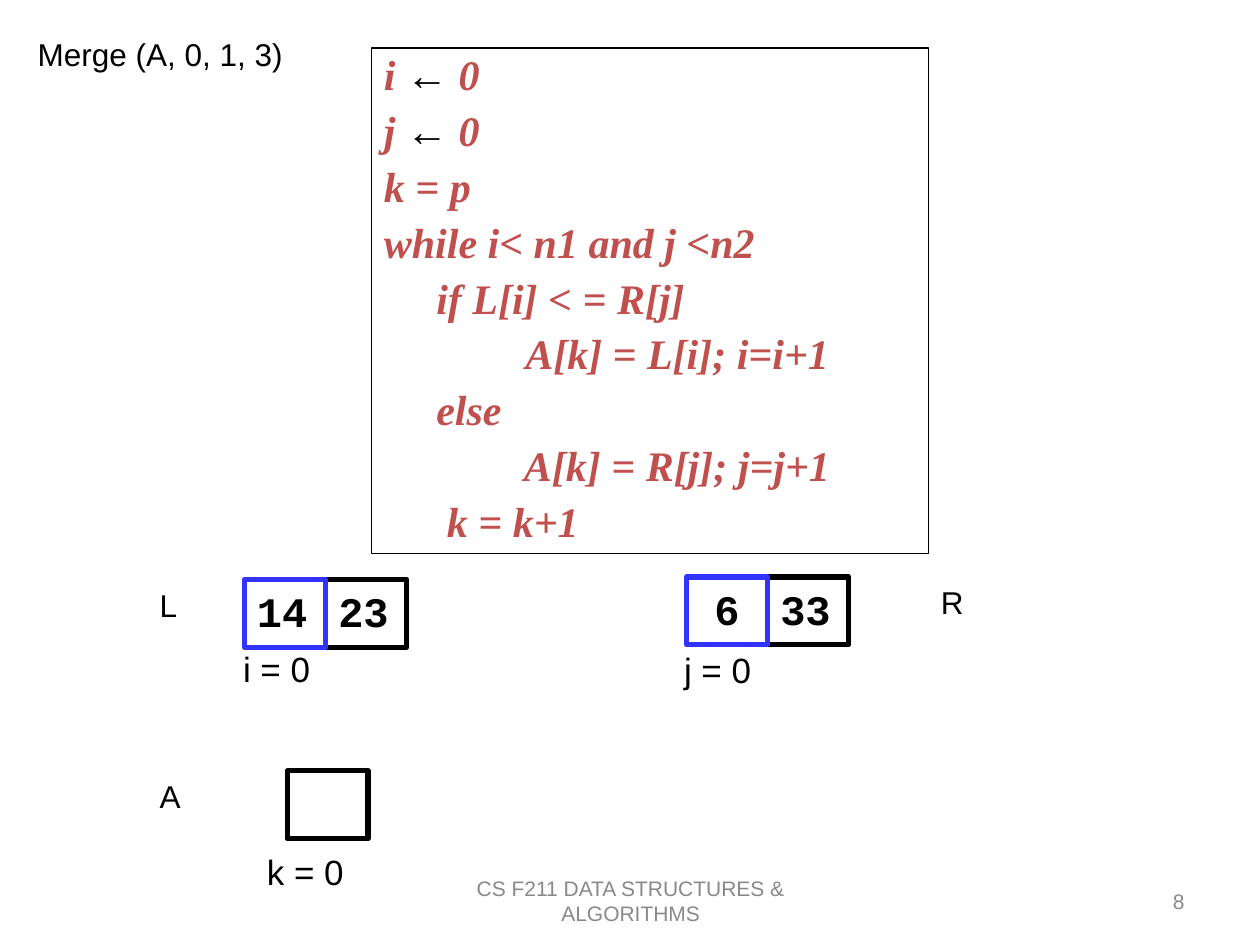
from dataclasses import dataclass

from lxml import etree
from pptx import Presentation
from pptx.dml.color import RGBColor
from pptx.enum.shapes import MSO_SHAPE
from pptx.enum.text import MSO_ANCHOR, MSO_AUTO_SIZE, PP_ALIGN
from pptx.oxml.ns import qn
from pptx.util import Cm, Pt

RECT = MSO_SHAPE.RECTANGLE
TOP, MIDDLE = MSO_ANCHOR.TOP, MSO_ANCHOR.MIDDLE
LEFT, CENTER, RIGHT = PP_ALIGN.LEFT, PP_ALIGN.CENTER, PP_ALIGN.RIGHT
GROW = MSO_AUTO_SIZE.SHAPE_TO_FIT_TEXT
ARROW = "←"


@dataclass(frozen=True)
class Theme:
    black: str = "000000"
    blue: str = "3333FF"
    red: str = "C0504D"
    gray: str = "898989"
    sans: str = "Arial"
    serif: str = "Times New Roman"
    mono: str = "Courier New"
    small: int = 12
    label: int = 18
    index: int = 20
    code: int = 24
    thin: float = 0.75
    thick: float = 3


class Board:
    cell_w, cell_h, step = 1.63, 1.37, 1.64

    def __init__(self, slide, theme):
        self.slide = slide
        self.theme = theme

    def style(self, font, face, size, color, strong=False, slant=False):
        font.name = face
        font.size = Pt(size)
        font.color.rgb = RGBColor.from_string(color)
        font.bold = strong
        font.italic = slant

    def frame(self, x, y, w, h, color, weight):
        """Unfilled rectangle with a plain outline."""
        box = self.slide.shapes.add_shape(RECT, Cm(x), Cm(y), Cm(w), Cm(h))
        box.shadow.inherit = False
        box.fill.background()
        box.line.color.rgb = RGBColor.from_string(color)
        box.line.width = Pt(weight)
        box.text_frame.vertical_anchor = TOP
        return box

    def cell(self, x, y, text, color, align=LEFT):
        box = self.frame(x, y, self.cell_w, self.cell_h, color, self.theme.thick)
        body = box.text_frame
        body.word_wrap = False
        body.text = text
        para = body.paragraphs[0]
        para.alignment = align
        for run in para.runs:
            self.style(run.font, self.theme.mono, self.theme.code,
                       self.theme.black, strong=True)

    def pair(self, x, y, first, second, align=LEFT):
        """Two-cell array whose current first cell lies on top."""
        self.cell(x + self.step, y, second, self.theme.black)
        self.cell(x, y, first, self.theme.blue, align)

    def label(self, x, y, w, h, text, size):
        body = self.text(x, y, w, h, text, size, self.theme.black, LEFT)
        body.auto_size = GROW

    def footer(self, x, w, text, align):
        body = self.text(x, 17.65, w, 1.02, text, self.theme.small,
                         self.theme.gray, align)
        body.vertical_anchor = MIDDLE

    def text(self, x, y, w, h, text, size, color, align):
        box = self.slide.shapes.add_textbox(Cm(x), Cm(y), Cm(w), Cm(h))
        body = box.text_frame
        body.word_wrap = True
        body.text = text
        para = body.paragraphs[0]
        para.alignment = align
        self.style(para.runs[0].font, self.theme.sans, size, color)
        return body

    def tabs(self, para, gap, count):
        stops = etree.SubElement(para._p.get_or_add_pPr(), qn("a:tabLst"))
        for n in range(count):
            etree.SubElement(stops, qn("a:tab"), pos=str(Cm(gap * n)), algn="l")

    def code(self, x, y, w, h, lines):
        theme = self.theme
        body = self.frame(x, y, w, h, theme.black, theme.thin).text_frame
        body.word_wrap = True
        for n, line in enumerate(lines):
            para = body.add_paragraph() if n else body.paragraphs[0]
            self.tabs(para, 0.95, 8)
            para.alignment = LEFT
            para.line_spacing = 0.9
            para.space_before = Pt(6 if n else 0)
            for part in filter(None, line.partition(ARROW)):
                run = para.add_run()
                run.text = part
                if part == ARROW:
                    self.style(run.font, theme.sans, theme.code, theme.black)
                else:
                    self.style(run.font, theme.serif, theme.code, theme.red,
                               strong=True, slant=True)


CODE = [
    "i ← 0",
    "j ← 0",
    "k = p",
    "while i< n1 and j <n2",
    "     if L[i] < = R[j]",
    "\t\t\tA[k] = L[i]; i=i+1",
    "     else",
    "\t         A[k] = R[j]; j=j+1",
    "      k = k+1",
]


def main():
    deck = Presentation()
    deck.slide_width, deck.slide_height = Cm(25.4), Cm(19.05)
    theme = Theme()
    board = Board(deck.slides.add_slide(deck.slide_layouts[6]), theme)

    # Call and merge loop
    board.label(0.51, 0.58, 6.07, 1.02, "Merge (A, 0, 1, 3)", theme.label)
    board.code(7.49, 0.97, 11.23, 10.19, CODE)

    # Arrays: L and R halves, empty target A
    board.pair(4.93, 11.68, "14", "23")
    board.pair(13.84, 11.63, "6", "33", CENTER)
    board.frame(5.79, 15.54, board.cell_w, board.cell_h, theme.black, theme.thick)

    # Array names
    for x, y, name in [(2.97, 11.68, "L"), (18.72, 11.63, "R"), (2.97, 15.54, "A")]:
        board.label(x, y, 1.25, 1.02, name, theme.label)

    # Index values
    for x, y, value in [(4.65, 12.93, "i = 0"), (13.54, 12.95, "j = 0"),
                        (5.13, 17.02, "k = 0")]:
        board.label(x, y, 2.45, 1.12, value, theme.index)

    # Footer
    board.footer(8.69, 8.05, "CS F211 DATA STRUCTURES & ALGORITHMS", CENTER)
    board.footer(18.21, 5.92, "8", RIGHT)

    deck.save("out.pptx")


if __name__ == "__main__":
    main()
